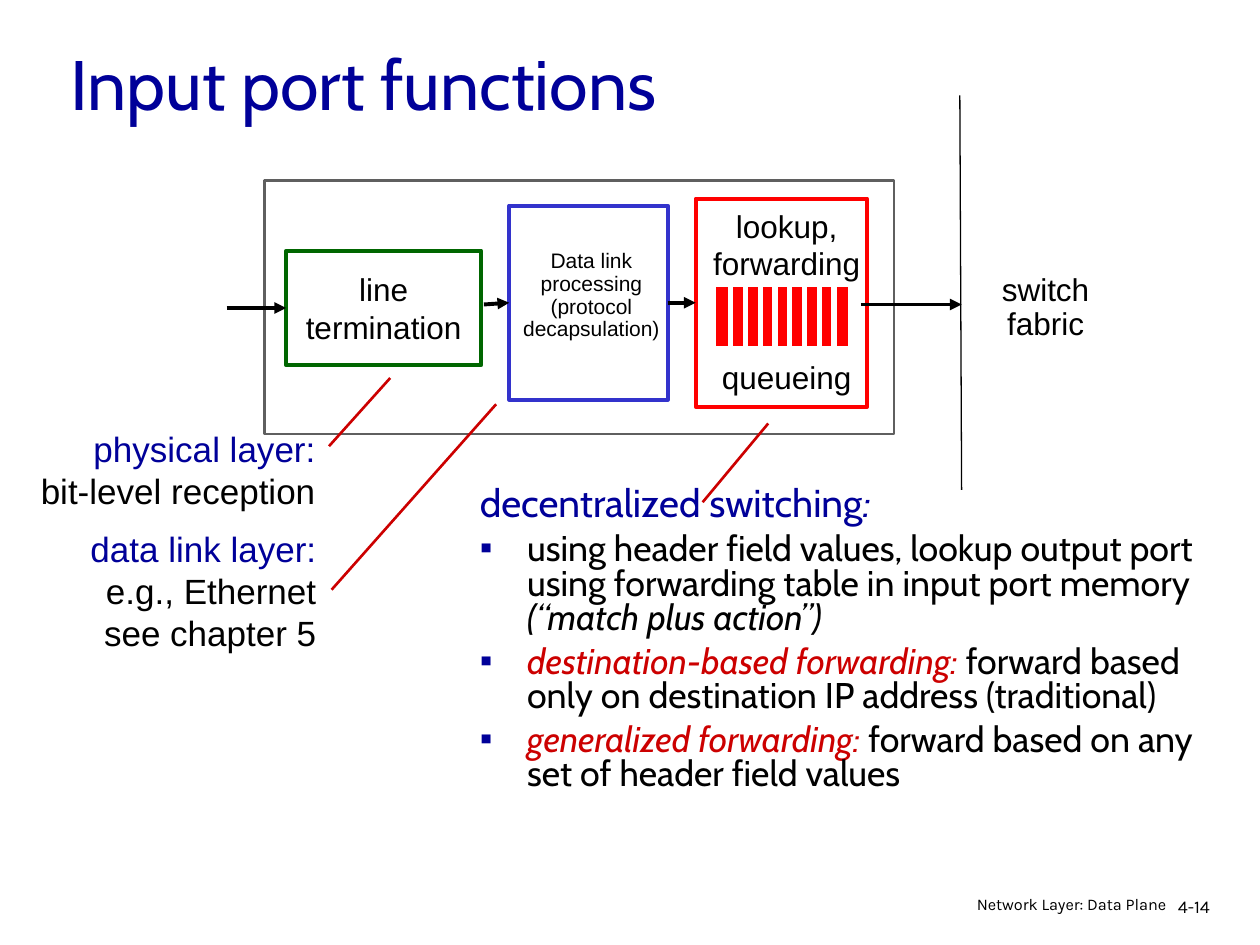
from dataclasses import dataclass

import pptx
import pptx.dml.color
import pptx.enum.shapes
import pptx.enum.text
import pptx.oxml
import pptx.oxml.ns
import pptx.util

Pt = pptx.util.Pt
Align = pptx.enum.text.PP_ALIGN
Anchor = pptx.enum.text.MSO_ANCHOR
NS = pptx.oxml.ns.nsdecls("a")


@dataclass(frozen=True)
class Theme:
    black: str = "000000"
    white: str = "FFFFFF"
    gray: str = "5F5F5F"
    navy: str = "000099"
    blue: str = "3333CC"
    green: str = "006600"
    red: str = "FF0000"
    dark: str = "CC0000"
    sans: str = "Arial"
    head: str = "Cabin"
    foot: str = "Karla"
    title: float = 40
    lead: float = 22.2
    body: float = 20.4
    note: float = 20
    label: float = 18
    small: float = 12
    page: float = 10.2
    footer: float = 9.3


T = Theme()


def rgb(code):
    return pptx.dml.color.RGBColor.from_string(code)


def place(shape, rect):
    shape.left, shape.top, shape.width, shape.height = map(Pt, rect)


def mark(para, char):
    """Give the paragraph a hanging indent and a bullet, or none if char is empty."""
    props = para._p.get_or_add_pPr()
    props.set("marL", str(Pt(27)))
    props.set("indent", str(-Pt(27)))
    parts = ['<a:buNone %s/>' % NS]
    if char:
        parts = [
            f'<a:buClr {NS}><a:srgbClr val="{T.navy}"/></a:buClr>',
            f'<a:buFont {NS} typeface="{T.sans}"/>',
            f'<a:buChar {NS} char="{char}"/>',
        ]
    for part in parts:
        props.append(pptx.oxml.parse_xml(part))


def write(shape, paras, size=T.label, font=T.sans, color=T.black, align=Align.CENTER,
          anchor=Anchor.TOP, wrap=False, lead=None, gaps=None, marks=None, sizes=None):
    """Fill a shape; a paragraph is a string or a list of (text, color, italic) runs.

    gaps, marks and sizes map a paragraph's index to its own value."""
    frame = shape.text_frame
    frame.auto_size = pptx.enum.text.MSO_AUTO_SIZE.NONE
    frame.word_wrap = wrap
    frame.vertical_anchor = anchor
    for i, runs in enumerate(paras):
        para = frame.add_paragraph() if i else frame.paragraphs[0]
        if marks:
            mark(para, marks[i])
        para.alignment = align
        para.space_before = Pt((gaps or {}).get(i, 0))
        if lead:
            para.line_spacing = lead
        if isinstance(runs, str):
            runs = [(runs, color, False)]
        for words, tint, slant in runs:
            run = para.add_run()
            run.text = words
            run.font.name = font
            run.font.size = Pt((sizes or {}).get(i, size))
            run.font.color.rgb = rgb(tint)
            run.font.italic = slant


def box(shapes, rect, fill=T.white, edge=None, width=2.25):
    shape = shapes.add_shape(pptx.enum.shapes.MSO_SHAPE.RECTANGLE, *map(Pt, rect))
    shape.shadow.inherit = False
    shape.fill.solid()
    shape.fill.fore_color.rgb = rgb(fill)
    if edge:
        shape.line.color.rgb = rgb(edge)
        shape.line.width = Pt(width)
    else:
        shape.line.fill.background()
    return shape


def note(shapes, rect, paras, **form):
    write(shapes.add_textbox(*map(Pt, rect)), paras, **form)


def line(shapes, ends, color=T.black, width=2.25, arrow=False, start=None, stop=None):
    """Draw a line; start and stop are shapes joined at their right and left sides."""
    link = shapes.add_connector(pptx.enum.shapes.MSO_CONNECTOR.STRAIGHT, *map(Pt, ends))
    link.line.color.rgb = rgb(color)
    link.line.width = Pt(width)
    if arrow:
        link.line._get_or_add_ln().append(
            pptx.oxml.parse_xml(f'<a:tailEnd {NS} type="triangle"/>'))
    link._element.spPr.append(pptx.oxml.parse_xml(f"<a:effectLst {NS}/>"))
    if start:
        link.begin_connect(start, 3)
    if stop:
        link.end_connect(stop, 1)


def port(shapes):
    """Draw the three stages of the input port and the arrows through them."""
    box(shapes, (151, 103, 360, 145), edge=T.gray, width=1.5)
    term = box(shapes, (163.5, 143.25, 111.5, 65.5), edge=T.green)
    write(term, ["line", "termination"], anchor=Anchor.MIDDLE)
    link = box(shapes, (291, 117.5, 90.5, 111), edge=T.blue)
    look = box(shapes, (397.5, 113.5, 98, 119), edge=T.red)
    line(shapes, (129.5, 176, 163.5, 176), arrow=True, stop=term)
    line(shapes, (276.5, 174, 291, 173), arrow=True, stop=link)
    line(shapes, (381.5, 173, 397.5, 173), arrow=True, start=link, stop=look)
    line(shapes, (492, 174, 549.5, 174), arrow=True)
    note(shapes, (400.5, 114.5, 98, 115), ["lookup,", "forwarding", "queueing"],
         gaps={2: 43.5})
    label = box(shapes, (306, 122.5, 64, 93.5))
    write(label, ["Data link", "processing", "(protocol", "decapsulation)"],
          size=T.small, anchor=Anchor.MIDDLE, lead=0.9)


def queue(shapes):
    """Draw the queue as a red block cut into slots by white lines."""
    group = shapes.add_group_shape().shapes
    box(group, (407.5, 162.5, 78.5, 36.5), fill=T.red, edge=T.white, width=3)
    for i in range(8):
        x = 417.6 + 8.43 * i
        line(group, (x, 163, x, 198), color=T.white, width=3)


def fabric(shapes):
    line(shapes, (548.5, 54.5, 549.5, 280), width=0.75)
    side = box(shapes, (556, 143.25, 83, 65.5))
    write(side, ["switch", "fabric"], anchor=Anchor.MIDDLE, lead=0.9)


def layers(shapes):
    """Name the layers and tie each stage to its note."""
    form = dict(size=T.note, align=Align.RIGHT)
    note(shapes, (16, 240.5, 171.5, 55.5),
         [[("physical layer:", T.navy, False)], "bit-level reception"], **form)
    note(shapes, (44.5, 298, 143.5, 79),
         [[("data link layer:", T.navy, False)], "e.g., Ethernet", "see chapter 5"], **form)
    for ends in ((188, 255, 223, 216), (189.5, 337, 283.5, 231), (401.5, 287, 439, 242)):
        line(shapes, ends, color=T.dark, width=1.5)


def points(body):
    place(body, (267, 275, 430, 210))
    write(body, [
        [("decentralized switching", T.navy, False), (":", T.navy, True)],
        [("using header field values, lookup output port using forwarding table "
          "in input port memory ", T.black, False),
         ("(“match plus action”)", T.black, True)],
        [("destination-based forwarding: ", T.dark, True),
         ("forward based only on destination IP address (traditional)", T.black, False)],
        [("generalized forwarding: ", T.dark, True),
         ("forward based on any set of header field values", T.black, False)],
    ], size=T.body, font=T.head, align=Align.LEFT, wrap=True, lead=0.8,
        gaps={1: 5.5, 2: 5.5, 3: 5.5}, marks=["", "▪", "▪", "▪"], sizes={0: T.lead})


def main():
    deck = pptx.Presentation()
    deck.slide_width, deck.slide_height = Pt(720), Pt(540)
    slide = deck.slides.add_slide(deck.slide_layouts[1])
    shapes = slide.shapes
    title, body = slide.placeholders
    place(title, (33, 23, 612, 48))
    write(title, ["Input port functions"], size=T.title, font=T.head, color=T.navy,
          align=Align.LEFT, anchor=Anchor.MIDDLE, wrap=True)
    points(body)
    port(shapes)
    queue(shapes)
    fabric(shapes)
    layers(shapes)
    note(shapes, (666, 509.5, 44, 21.5), ["4-14"], size=T.page, font=T.foot,
         align=Align.LEFT, wrap=True, lead=0.9)
    note(shapes, (502, 509.5, 171.5, 18.5), ["Network Layer: Data Plane"], size=T.footer,
         font=T.foot, align=Align.RIGHT, wrap=True, lead=0.8)
    deck.save("out.pptx")


if __name__ == "__main__":
    main()
